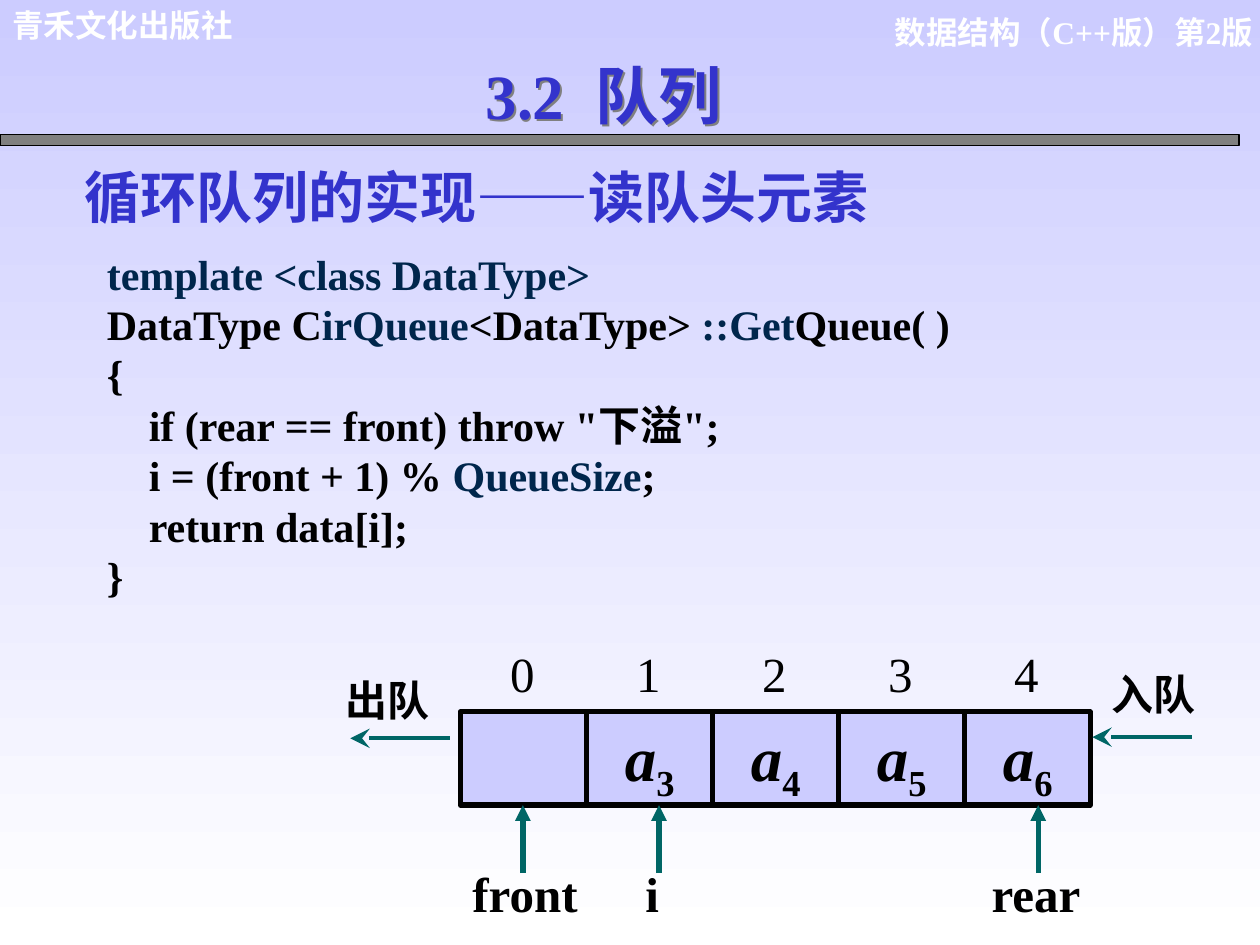
from lxml import etree
from pptx import Presentation
from pptx import util as u
from pptx.dml.color import RGBColor
from pptx.enum import shapes, text
from pptx.oxml.ns import qn

FONT = "Times New Roman"
BLACK, WHITE, NAVY, BLUE = "000000", "FFFFFF", "00264C", "3333CC"
LILAC, TEAL, GRAY = "CCCCFF", "006666", "808080"
LEFT, CENTER, RIGHT, JUSTIFY = (text.PP_ALIGN.LEFT, text.PP_ALIGN.CENTER,
                                text.PP_ALIGN.RIGHT, text.PP_ALIGN.JUSTIFY)

# Content: each line is a list of (text, format) runs
HEADINGS = [  # box, text, alignment, format
    ((460, 3.6, 263, 29), "数据结构（C++版）第2版", RIGHT, dict(size=18, color=WHITE)),
    ((0, 0, 195, 29), "青禾文化出版社", LEFT, dict(size=18, color=WHITE, name="Arial")),
    ((41, 89.3, 486, 46), "循环队列的实现——读队头元素", LEFT, dict(size=32, color=BLUE)),
]
TITLE = "3.2  队列"
CODE = [
    [("template <class DataType>", NAVY)],
    [("DataType C", BLACK), ("irQueue", NAVY), ("<DataType> ", BLACK),
     ("::Get", NAVY), ("Queue( )", BLACK)],
    [("{", BLACK)],
    [('    if (rear == front) throw "下溢";', BLACK)],
    [("    i = (front + 1) % ", BLACK), ("QueueSize", NAVY), (";", BLACK)],
    [("    return data[i];", BLACK)],
    [("}", BLACK)],
]
CELLS = ["", "3", "4", "5", "6"]  # subscripts of the queued elements
POINTERS = [("front", 298.8, 300), ("i", 376.6, 372.6), ("rear", 593.3, 592)]
FLOWS = [("出队", 190.5, 382, 257, 200.2, 421.9),
         ("入队", 628.3, 378.4, 681.1, 624.2, 421.2)]

# Cell grid
CELL_LEFT, CELL_TOP, CELL_WIDTH, CELL_HEIGHT = 263, 406.8, 72, 53.3

presentation = Presentation()
presentation.slide_width, presentation.slide_height = u.Pt(720), u.Pt(540)
slide = presentation.slides.add_slide(presentation.slide_layouts[6])


def rgb(value):
    return RGBColor.from_string(value)


def points(values):
    return [u.Pt(value) for value in values]


def add_text(box, lines, align=LEFT, wrap=True, **common):
    shape = slide.shapes.add_textbox(*points(box))
    frame = shape.text_frame
    frame.word_wrap = wrap
    for number, runs in enumerate(lines):
        paragraph = frame.paragraphs[0] if number == 0 else frame.add_paragraph()
        paragraph.alignment = align
        for content, extra in runs:
            run = paragraph.add_run()
            run.text = content
            style = dict(name=FONT, bold=True, color=BLACK) | common | extra
            run.font.color.rgb = rgb(style.pop("color"))
            run.font.size = u.Pt(style.pop("size"))
            baseline = style.pop("baseline", None)
            if baseline:
                run.font._element.set("baseline", str(baseline))
            for key, value in style.items():
                setattr(run.font, key, value)
    return shape


def add_box(box, fill, width):
    shape = slide.shapes.add_shape(shapes.MSO_SHAPE.RECTANGLE, *points(box))
    shape.shadow.inherit = False
    shape.fill.solid()
    shape.fill.fore_color.rgb = rgb(fill)
    shape.line.color.rgb = rgb(BLACK)
    shape.line.width = u.Pt(width)


def add_arrow(ends, width, head, head_size="med"):
    line = slide.shapes.add_connector(shapes.MSO_CONNECTOR.STRAIGHT, *points(ends))
    line.line.color.rgb = rgb(TEAL)
    line.line.width = u.Pt(width)
    etree.SubElement(line.line._get_or_add_ln(), qn("a:tailEnd"),
                     type=head, w=head_size, len=head_size)
    etree.SubElement(line._element.spPr, qn("a:effectLst"))


# Background
fill = slide.background.fill
fill.gradient()
fill.gradient_angle = 270
for stop, color, position in zip(fill.gradient_stops, (LILAC, WHITE), (0, 1)):
    stop.color.rgb = rgb(color)
    stop.position = position

# Headings and divider
for box, content, align, style in HEADINGS:
    add_text(box, [[(content, style)]], align)
add_box((0, 77, 708, 6), GRAY, 0.75)

# Title; the shadow of an unfilled box falls from its text
title = add_text((190, 28.8, 310, 50), [[(TITLE, {})]], CENTER, size=36, color=BLUE)
effects = etree.SubElement(title._element.spPr, qn("a:effectLst"))
shadow = etree.SubElement(effects, qn("a:outerShdw"), dist="17961", dir="2700000")
etree.SubElement(shadow, qn("a:srgbClr"), val=GRAY)

# Code listing
add_text((54, 138.2, 624, 209),
         [[(part, dict(color=color)) for part, color in line] for line in CODE],
         JUSTIFY, size=24)

# Queue cells and their elements
for index, subscript in enumerate(CELLS):
    left = CELL_LEFT + index * CELL_WIDTH
    add_box((left, CELL_TOP, CELL_WIDTH, CELL_HEIGHT), LILAC, 3)
    if subscript:
        add_text((left + 15, CELL_TOP, 46, 57),
                 [[("a", dict(italic=True)), (subscript, dict(baseline=-25000))]],
                 wrap=False, size=36)

# Index row on tab stops one cell apart
indexes = add_text((284.4, 364.3, 337, 41),
                   [[("\t".join(str(n) for n in range(len(CELLS))), {})]],
                   size=28, bold=False).text_frame.paragraphs[0]
tabs = etree.SubElement(indexes._p.get_or_add_pPr(), qn("a:tabLst"))
for number in range(1, len(CELLS)):
    etree.SubElement(tabs, qn("a:tab"), pos=str(u.Pt(number * CELL_WIDTH)), algn="l")

# Arrows leaving and entering the queue
for label, left, top, start, end, y in FLOWS:
    add_text((left, top, 78, 36), [[(label, {})]], size=24)
    add_arrow((start, y, end, y), 2.25, "stealth", "lg")

# Pointers below the cells
for label, arrow_x, label_x in POINTERS:
    add_arrow((arrow_x, 499, arrow_x, CELL_TOP + CELL_HEIGHT), 3, "triangle")
    add_text((label_x - 38, 489.9, 76, 41), [[(label, {})]], CENTER, size=28)

presentation.save("out.pptx")
